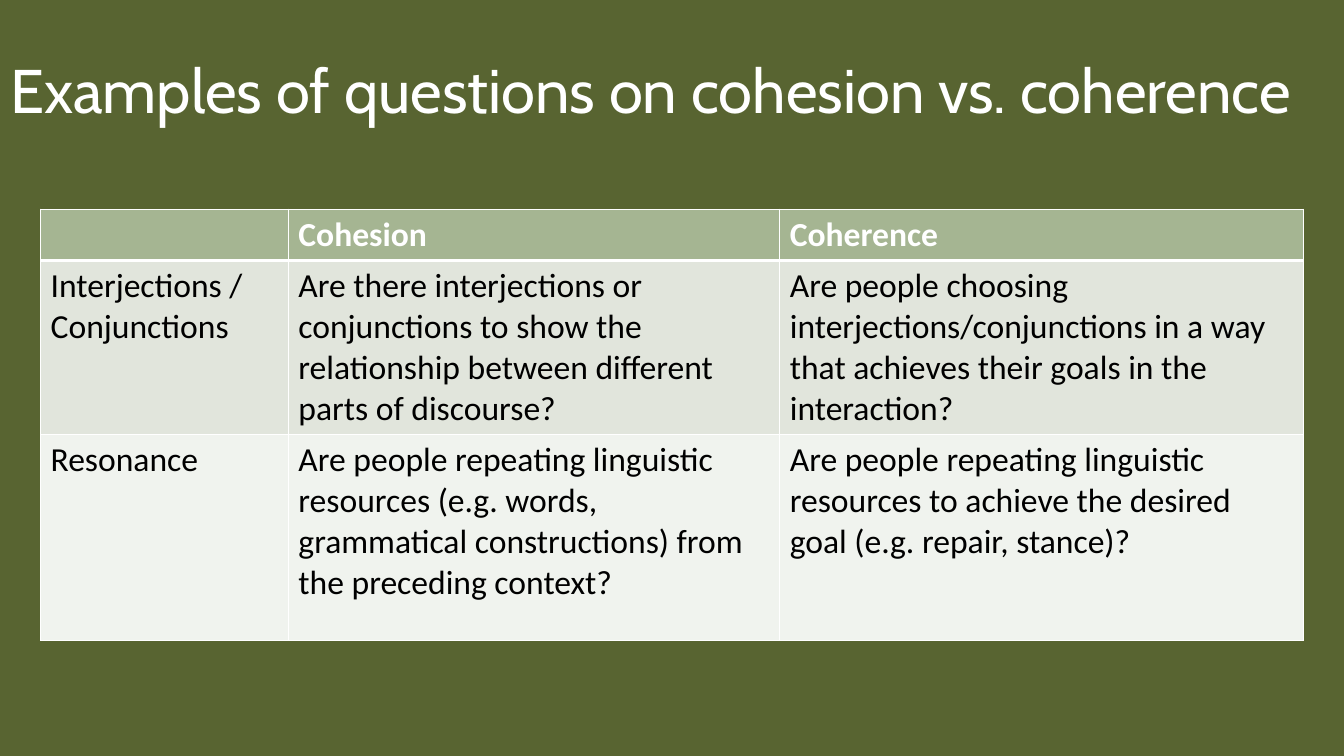
from lxml.etree import SubElement
from pptx import Presentation
from pptx.dml.color import RGBColor
from pptx.enum.shapes import MSO_SHAPE as Shape
from pptx.enum.text import MSO_ANCHOR as Anchor, PP_ALIGN as Align
from pptx.oxml.ns import qn
from pptx.util import Pt

COLORS = {
    "background": "444D26",
    "overlay": "5B6733",
    "header": "A5B592",
    "odd_row": "E1E5DC",
    "even_row": "F0F3EE",
    "white": "FFFFFF",
    "black": "000000",
}
TITLE = "Examples of questions on cohesion vs. coherence"
QUESTIONS = [
    ["", "Cohesion", "Coherence"],
    [
        "Interjections / Conjunctions",
        "Are there interjections or conjunctions to show the relationship "
        "between different parts of discourse?",
        "Are people choosing interjections/conjunctions in a way that "
        "achieves their goals in the interaction?",
    ],
    [
        "Resonance",
        "Are people repeating linguistic resources (e.g. words, grammatical "
        "constructions) from the preceding context?",
        "Are people repeating linguistic resources to achieve the desired "
        "goal (e.g. repair, stance)?",
    ],
]
COLUMN_WIDTHS = [177, 351, 374]
ROW_HEIGHTS = [36.5, 124, 147]
ROW_FILLS = ["header", "odd_row", "even_row"]


def color(name):
    return RGBColor.from_string(COLORS[name])


def format_font(font, name, size, color_name, bold=False):
    font.name = name
    font.size = Pt(size)
    font.bold = bold
    font.color.rgb = color(color_name)


def add_overlay(page, width, height):
    """Cover the background with a slightly transparent rectangle."""
    overlay = page.shapes.add_shape(Shape.RECTANGLE, 0, 0, width, height)
    overlay.shadow.inherit = False
    overlay.line.fill.background()
    overlay.fill.solid()
    overlay.fill.fore_color.rgb = color("overlay")
    tint = overlay.fill._xPr.find(qn("a:solidFill"))[0]
    SubElement(tint, qn("a:alpha"), val="90000")
    page.shapes._spTree.insert(2, overlay._element)


def set_title(page, text):
    title = page.shapes.title
    title.left, title.top, title.width, title.height = 0, Pt(37), Pt(960), Pt(59)
    frame = title.text_frame
    frame.text = text
    frame.word_wrap = True
    frame.vertical_anchor = Anchor.MIDDLE
    para = frame.paragraphs[0]
    para.alignment = Align.LEFT
    para.line_spacing = 0.9
    format_font(para.runs[0].font, "Cabin", 44, "white")


def set_borders(cell, top, bottom):
    """Draw white cell borders, 1 pt at the sides."""
    properties = cell._tc.get_or_add_tcPr()
    for side, width in (("L", 1), ("R", 1), ("T", top), ("B", bottom)):
        line = SubElement(properties, qn(f"a:ln{side}"), w=str(Pt(width)))
        fill = SubElement(line, qn("a:solidFill"))
        SubElement(fill, qn("a:srgbClr"), val=COLORS["white"])


def format_cell(cell, text, row):
    is_header = row == 0
    set_borders(cell, top=3 if row == 1 else 1, bottom=3 if is_header else 1)
    cell.fill.solid()
    cell.fill.fore_color.rgb = color(ROW_FILLS[row])
    cell.text_frame.text = text
    for span in cell.text_frame.paragraphs[0].runs:
        format_font(span.font, "Calibri", 24,
                    "white" if is_header else "black", is_header)


def add_question_table(page):
    table = page.shapes.add_table(
        len(ROW_HEIGHTS), len(COLUMN_WIDTHS), Pt(29), Pt(149.5),
        Pt(sum(COLUMN_WIDTHS)), Pt(sum(ROW_HEIGHTS))).table
    for column, width in zip(table.columns, COLUMN_WIDTHS):
        column.width = Pt(width)
    for row, height in enumerate(ROW_HEIGHTS):
        table.rows[row].height = Pt(height)
        for column, text in enumerate(QUESTIONS[row]):
            format_cell(table.cell(row, column), text, row)


def main():
    deck = Presentation()
    deck.slide_width, deck.slide_height = Pt(960), Pt(540)
    page = deck.slides.add_slide(deck.slide_layouts[5])
    page.background.fill.solid()
    page.background.fill.fore_color.rgb = color("background")
    add_overlay(page, deck.slide_width, deck.slide_height)
    set_title(page, TITLE)
    add_question_table(page)
    deck.save("out.pptx")


if __name__ == "__main__":
    main()
